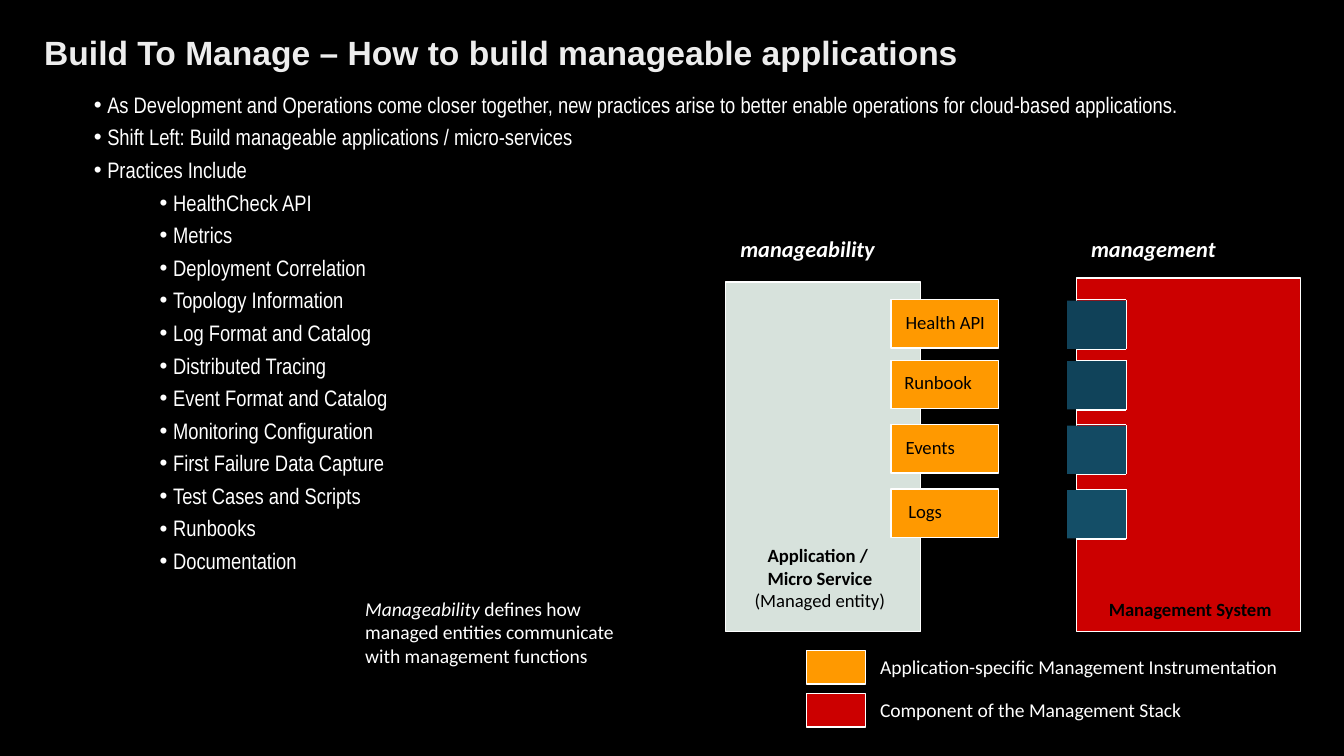
import pptx
import pptx.dml.color
import pptx.enum.shapes
import pptx.enum.text
import pptx.oxml.ns
import pptx.util
from lxml import etree

Pt = pptx.util.Pt
RGBColor = pptx.dml.color.RGBColor
ALIGN = pptx.enum.text.PP_ALIGN
ANCHOR = pptx.enum.text.MSO_ANCHOR

BLACK = RGBColor(0x00, 0x00, 0x00)
WHITE = RGBColor(0xFF, 0xFF, 0xFF)
TITLE_GREY = RGBColor(0xED, 0xED, 0xED)
SAGE = RGBColor(0xD7, 0xE2, 0xDC)
ORANGE = RGBColor(0xFF, 0x99, 0x00)
RED = RGBColor(0xCC, 0x00, 0x00)
ADAPTER_BLUES = [
    RGBColor(0x10, 0x41, 0x58),
    RGBColor(0x10, 0x43, 0x5A),
    RGBColor(0x13, 0x4A, 0x63),
    RGBColor(0x14, 0x4E, 0x67),
]

GOALS = [
    "As Development and Operations come closer together, new practices arise "
    "to better enable operations for cloud-based applications.",
    "Shift Left: Build manageable applications / micro-services",
    "Practices Include",
]
PRACTICES = [
    "HealthCheck API", "Metrics", "Deployment Correlation",
    "Topology Information", "Log Format and Catalog", "Distributed Tracing",
    "Event Format and Catalog", "Monitoring Configuration",
    "First Failure Data Capture", "Test Cases and Scripts", "Runbooks",
    "Documentation",
]
INTERFACES = [
    ("Health API", 160.6, 478.1, 59),
    ("Runbook", 193, 477.4, 60.5),
    ("Events", 227.5, 478.1, 49.7),
    ("Logs", 262.1, 479.5, 38.9),
]
LEGEND = [
    ("Application-specific Management Instrumentation", ORANGE, 348.5, 234.7),
    ("Component of the Management Stack", RED, 371.5, 182.9),
]


def add_box(slide, left, top, width, height, fill, outlined=True):
    box = slide.shapes.add_shape(
        pptx.enum.shapes.MSO_SHAPE.RECTANGLE,
        Pt(left), Pt(top), Pt(width), Pt(height))
    box.shadow.inherit = False
    box.fill.solid()
    box.fill.fore_color.rgb = fill
    if outlined:
        box.line.color.rgb = WHITE
        box.line.width = Pt(0.75)
    else:
        box.line.fill.background()


def add_edge(slide, x1, y1, x2, y2):
    edge = slide.shapes.add_connector(
        pptx.enum.shapes.MSO_CONNECTOR.STRAIGHT, Pt(x1), Pt(y1), Pt(x2), Pt(y2))
    edge.line.color.rgb = WHITE
    edge.line.width = Pt(0.75)
    etree.SubElement(edge._element.spPr, pptx.oxml.ns.qn("a:effectLst"))


def add_frame(slide, left, top, width, height, wrap=True):
    frame = slide.shapes.add_textbox(
        Pt(left), Pt(top), Pt(width), Pt(height)).text_frame
    frame.word_wrap = wrap
    return frame


def add_run(paragraph, text, size, color, name="Calibri", bold=False, italic=False):
    run = paragraph.add_run()
    run.text = text
    run.font.name = name
    run.font.size = Pt(size)
    run.font.color.rgb = color
    run.font.bold = bold
    run.font.italic = italic


def add_label(slide, text, left, top, width, height, size, color,
              bold=False, italic=False, align=ALIGN.LEFT):
    paragraph = add_frame(slide, left, top, width, height, wrap=False).paragraphs[0]
    paragraph.alignment = align
    add_run(paragraph, text, size, color, bold=bold, italic=italic)


def add_bullet(paragraph, text, level):
    properties = paragraph._p.get_or_add_pPr()
    properties.set("marL", str(Pt(42.5 if level else 7.2)))
    properties.set("indent", str(-Pt(7.2)))
    bullet_font = etree.SubElement(properties, pptx.oxml.ns.qn("a:buFont"))
    bullet_font.set("typeface", "Arial")
    etree.SubElement(properties, pptx.oxml.ns.qn("a:buChar")).set("char", "•")
    paragraph.level = level
    paragraph.line_spacing = 0.9
    add_run(paragraph, text, 12, WHITE, name="Arial Narrow")


def add_title(slide):
    frame = add_frame(slide, 18.7, 13, 620.6, 33.8)
    frame.vertical_anchor = ANCHOR.MIDDLE
    frame.margin_left = frame.margin_right = Pt(5)
    frame.margin_top = frame.margin_bottom = Pt(2.9)
    heading = frame.paragraphs[0]
    heading.line_spacing = 0.8
    add_run(heading, "Build To Manage – How to build manageable applications",
            18, TITLE_GREY, name="Arial", bold=True)


def add_practices(slide):
    frame = add_frame(slide, 43.2, 46.8, 664.6, 67)
    items = [(goal, 0) for goal in GOALS] + [(practice, 1) for practice in PRACTICES]
    for index, (text, level) in enumerate(items):
        paragraph = frame.add_paragraph() if index else frame.paragraphs[0]
        add_bullet(paragraph, text, level)
        if index:
            paragraph.space_before = Pt(4.5)


def add_managed_entity(slide):
    add_label(slide, "manageability", 389.5, 122.4, 88.6, 21.6, 12, WHITE,
              bold=True, italic=True)
    add_box(slide, 388.8, 151.2, 104.4, 187.2, SAGE)
    frame = add_frame(slide, 396, 288, 86.4, 43.9, wrap=False)
    entity = frame.paragraphs[0]
    entity.alignment = ALIGN.CENTER
    add_run(entity, "Application / ", 10, BLACK, bold=True)
    entity.add_line_break()
    add_run(entity, "Micro Service", 10, BLACK, bold=True)
    role = frame.add_paragraph()
    role.alignment = ALIGN.CENTER
    add_run(role, "(Managed entity)", 10, BLACK)
    for text, top, left, width in INTERFACES:
        add_box(slide, 477.4, top, 57.6, 25.9, ORANGE)
        add_label(slide, text, left, top + 2.3, width, 19.4, 10, BLACK)


def add_management_system(slide):
    add_label(slide, "management", 577.4, 122.4, 82.8, 21.6, 12, WHITE,
              bold=True, italic=True)
    system_left, adapter_right = 576.7, 603.4
    add_box(slide, system_left, 149, 120.2, 189.4, RED)
    for (_, top, _, _), blue in zip(INTERFACES, ADAPTER_BLUES):
        bottom = top + 26.6
        add_box(slide, 571.7, top + 0.5, 31.7, 25.9, blue, outlined=False)
        add_edge(slide, system_left, top, adapter_right, top)
        add_edge(slide, system_left, bottom, adapter_right, bottom)
        add_edge(slide, adapter_right, top, adapter_right, bottom)
    add_label(slide, "Management System", 583.9, 316.8, 107.3, 19.4, 10, BLACK,
              bold=True, align=ALIGN.CENTER)


def add_legend(slide):
    for text, color, top, width in LEGEND:
        add_box(slide, 432, top, 31.7, 18, color)
        add_label(slide, text, 464.4, top - 1.4, width, 20.2, 10.5, WHITE)


def add_definition(slide):
    definition = add_frame(slide, 188.6, 316.1, 168.5, 45.4).paragraphs[0]
    add_run(definition, "Manageability", 10.5, WHITE, italic=True)
    add_run(definition, " defines how managed entities communicate with "
            "management functions", 10.5, WHITE)


def main():
    deck = pptx.Presentation()
    deck.slide_width, deck.slide_height = Pt(720), Pt(405)
    slide = deck.slides.add_slide(deck.slide_layouts[6])
    slide.background.fill.solid()
    slide.background.fill.fore_color.rgb = BLACK
    add_title(slide)
    add_practices(slide)
    add_managed_entity(slide)
    add_management_system(slide)
    add_legend(slide)
    add_definition(slide)
    deck.save("out.pptx")


if __name__ == "__main__":
    main()
